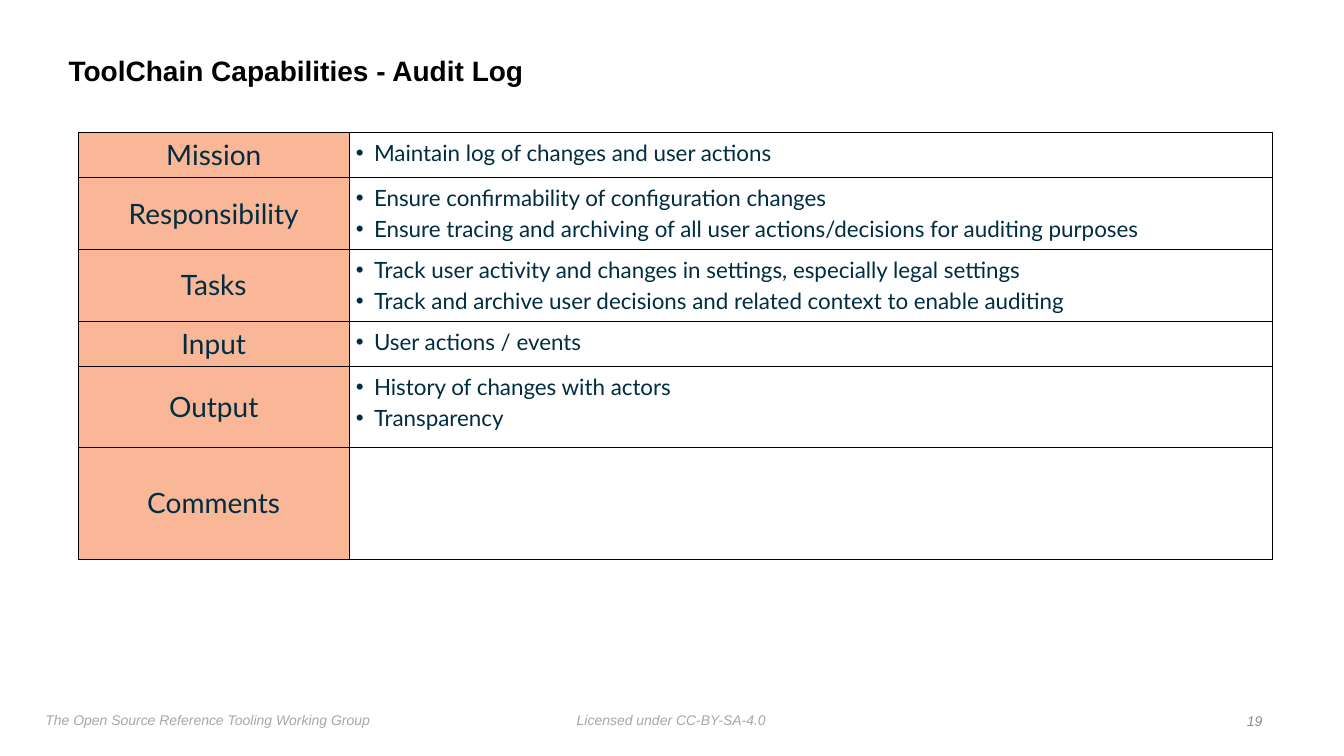
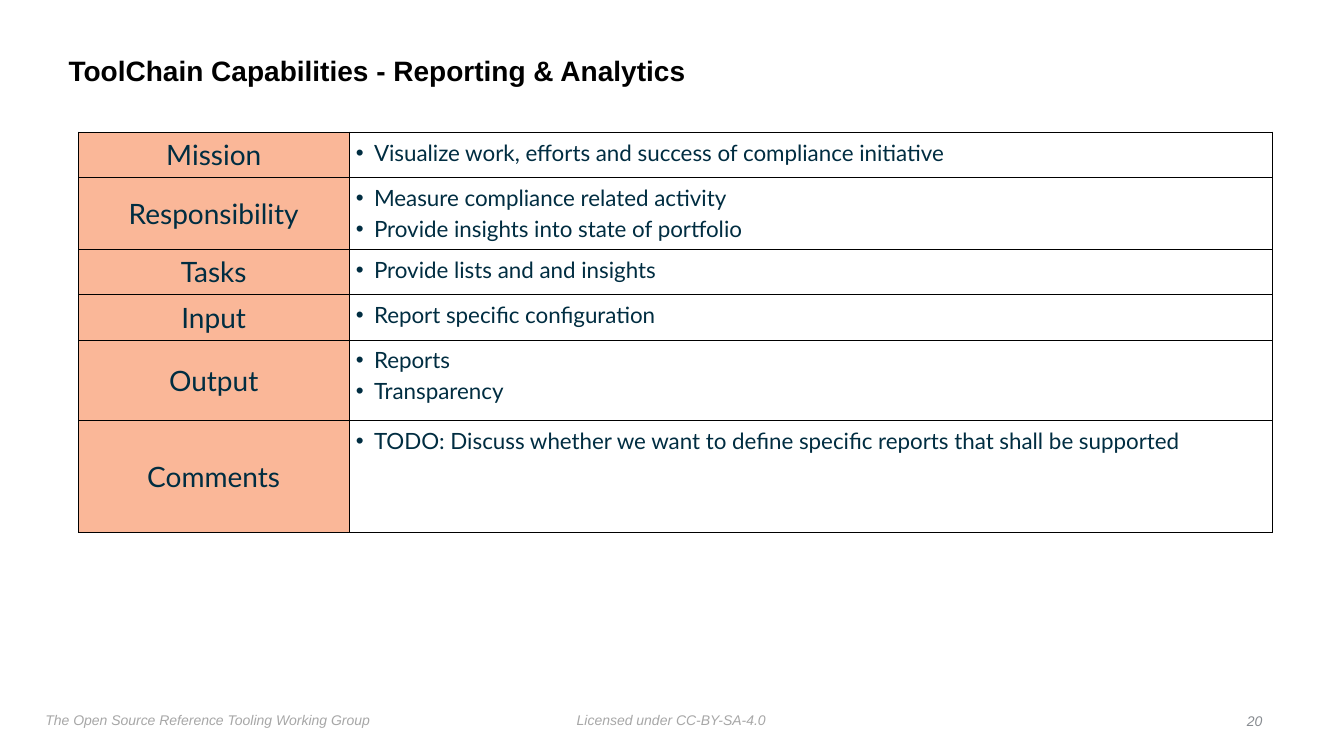
from lxml.etree import SubElement
from pptx import Presentation
from pptx.dml.color import RGBColor
from pptx.enum.text import MSO_ANCHOR, MSO_AUTO_SIZE, PP_ALIGN
from pptx.oxml.ns import qn
from pptx.util import Inches, Pt

BLACK, NAVY, PEACH = "000000", "002D41", "FAB798"
FOOTER_GREY, NUMBER_GREY = "A7A7A7", "888C91"
FIRST_PAGE = 19
COLUMNS = [2.68, 9.16]
LABELS = ["Mission", "Responsibility", "Tasks", "Input", "Output", "Comments"]
ONE_LINE, TWO_LINES = 0.45, 0.71
MIN_HEIGHTS = {"Output": 0.8, "Comments": 1.11}

SLIDES = [
    ("Audit Log", [
        ["Maintain log of changes and user actions"],
        ["Ensure confirmability of configuration changes",
         "Ensure tracing and archiving of all user actions/decisions for auditing purposes"],
        ["Track user activity and changes in settings, especially legal settings",
         "Track and archive user decisions and related context to enable auditing"],
        ["User actions / events"],
        ["History of changes with actors", "Transparency"],
        [],
    ]),
    ("Reporting & Analytics", [
        ["Visualize work, efforts and success of compliance initiative"],
        ["Measure compliance related activity",
         "Provide insights into state of portfolio"],
        ["Provide lists and and insights"],
        ["Report specific configuration"],
        ["Reports", "Transparency"],
        ["TODO: Discuss whether we want to define specific reports that shall be supported"],
    ]),
]


def rgb(color):
    return RGBColor.from_string(color)


def add_run(p, text, size, color, font="Arial", bold=False, italic=False):
    r = p.add_run()
    r.text = text
    r.font.name, r.font.size = font, Pt(size)
    r.font.bold, r.font.italic = bold, italic
    r.font.color.rgb = rgb(color)


prs = Presentation()
prs.slide_width, prs.slide_height = Inches(13.33), Inches(7.5)
layout = prs.slide_layouts[5]

for page, (topic, contents) in enumerate(SLIDES, FIRST_PAGE):
    s = prs.slides.add_slide(layout)

    # Title
    title = s.shapes.title
    title.left, title.top = Inches(0.63), Inches(0.39)
    title.width, title.height = Inches(10.75), Inches(0.65)
    tf = title.text_frame
    tf.auto_size, tf.vertical_anchor = MSO_AUTO_SIZE.NONE, MSO_ANCHOR.MIDDLE
    tf.margin_left = tf.margin_right = tf.margin_top = tf.margin_bottom = Inches(0.05)
    p = tf.paragraphs[0]
    p.alignment, p.line_spacing = PP_ALIGN.LEFT, 0.9
    add_run(p, f"ToolChain Capabilities - {topic}", 20, BLACK, bold=True)

    # Capability table
    heights = [max(TWO_LINES if len(items) > 1 else ONE_LINE, MIN_HEIGHTS.get(label, 0))
               for label, items in zip(LABELS, contents)]
    table = s.shapes.add_table(len(LABELS), len(COLUMNS), Inches(0.78), Inches(1.31),
                               Inches(sum(COLUMNS)), Inches(sum(heights))).table
    table.first_row = table.horz_banding = False
    for column, width in zip(table.columns, COLUMNS):
        column.width = Inches(width)
    for row, height, label, items in zip(table.rows, heights, LABELS, contents):
        row.height = Inches(height)
        for cell, margin in zip(row.cells, (0, 0.07)):
            cell.margin_left = cell.margin_right = Inches(margin)
            cell.margin_top = cell.margin_bottom = Inches(margin)
            tcPr = cell._tc.get_or_add_tcPr()
            for side in ("lnL", "lnR", "lnT", "lnB"):
                ln = SubElement(tcPr, qn(f"a:{side}"), w=str(Pt(0.5)))
                SubElement(SubElement(ln, qn("a:solidFill")), qn("a:srgbClr"), val=BLACK)

        label_cell, list_cell = row.cells
        label_cell.fill.solid()
        label_cell.fill.fore_color.rgb = rgb(PEACH)
        label_cell.vertical_anchor = MSO_ANCHOR.MIDDLE
        p = label_cell.text_frame.paragraphs[0]
        p.alignment = PP_ALIGN.CENTER
        add_run(p, label, 20, NAVY, "Lato")

        list_cell.fill.background()
        tf = list_cell.text_frame
        for i, item in enumerate(items):
            p = tf.add_paragraph() if i else tf.paragraphs[0]
            pPr = p._p.get_or_add_pPr()
            pPr.set("marL", str(Inches(0.18)))
            pPr.set("indent", str(-Inches(0.18)))
            SubElement(pPr, qn("a:buFont"), typeface="Arial")
            SubElement(pPr, qn("a:buChar"), char="•")
            p.space_before = Pt(3 if i else 0)
            add_run(p, item, 16, NAVY, "Lato")

    # Footer and page number
    for text, left, top, width, color, align, anchor in [
        ("The Open Source Reference Tooling Working Group", 0.4, 7.01, 3.34,
         FOOTER_GREY, PP_ALIGN.LEFT, MSO_ANCHOR.TOP),
        ("Licensed under CC-BY-SA-4.0", 5.67, 7.01, 1.99,
         FOOTER_GREY, PP_ALIGN.LEFT, MSO_ANCHOR.TOP),
        (str(page), 12.3, 7.03, 0.27, NUMBER_GREY, PP_ALIGN.RIGHT, MSO_ANCHOR.MIDDLE),
    ]:
        tf = s.shapes.add_textbox(Inches(left), Inches(top),
                                  Inches(width), Inches(0.25)).text_frame
        tf.word_wrap, tf.vertical_anchor = False, anchor
        tf.margin_left = tf.margin_right = tf.margin_top = tf.margin_bottom = Inches(0.05)
        p = tf.paragraphs[0]
        p.alignment = align
        add_run(p, text, 10, color, italic=True)

prs.save("out.pptx")
